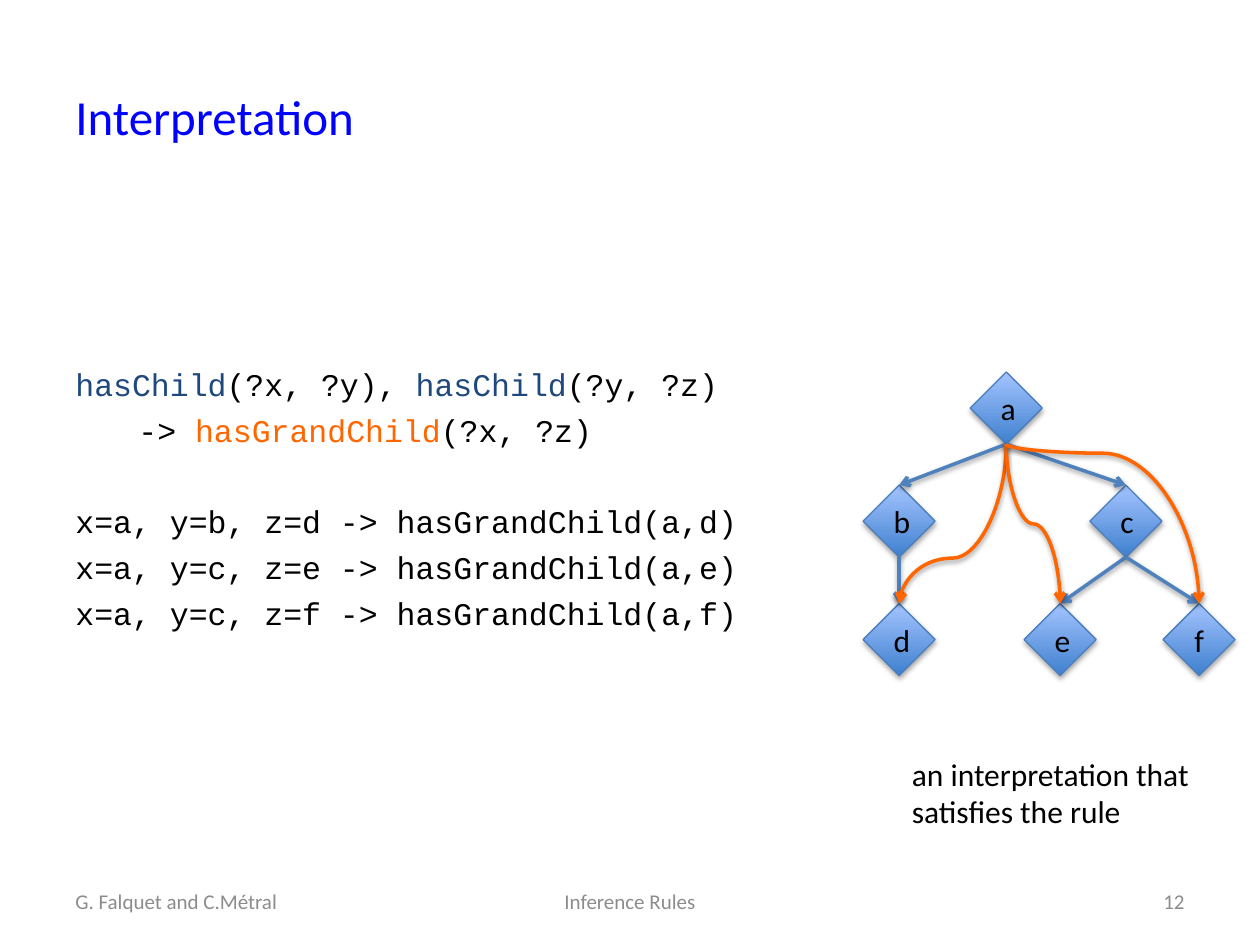
from lxml.etree import SubElement
from pptx import Presentation
from pptx.dml.color import RGBColor as RGB
from pptx.enum.shapes import MSO_CONNECTOR as Link, MSO_SHAPE as Form
from pptx.enum.text import MSO_ANCHOR as Anchor, PP_ALIGN as Align
from pptx.oxml.ns import qn
from pptx.util import Pt

BLACK = RGB(0x00, 0x00, 0x00)
TITLE = RGB(0x00, 0x00, 0xFF)
NAVY = RGB(0x1F, 0x49, 0x7D)
ORANGE = RGB(0xFF, 0x66, 0x00)
GREY = RGB(0x8C, 0x8C, 0x8C)
BLUE = RGB(0x4F, 0x81, 0xBD)
EDGE = RGB(0x4B, 0x7E, 0xBC)
DARK = RGB(0x3F, 0x80, 0xCE)
LIGHT = RGB(0xA4, 0xC4, 0xFF)

SIDE = 41.2
NODES = {
    "a": (554.4, 212.6), "b": (493.2, 277.2), "c": (622.8, 277.2),
    "d": (493.2, 344.9), "e": (585.2, 344.9), "f": (664.6, 344.9),
}
CHILD = ["ab", "ac", "bd", "ce", "cf"]
GRAND = {"ad": 0.715, "ae": 0.5, "af": 0.057}
RULE = [
    (0, 0, [("hasChild", NAVY), ("(?x, ?y), ", BLACK),
            ("hasChild", NAVY), ("(?y, ?z)", BLACK)]),
    (4.9, 36, [("-> ", BLACK), ("hasGrandChild", ORANGE), ("(?x, ?z)", BLACK)]),
]
FACTS = [("b", "d"), ("c", "e"), ("c", "f")]


class Board:
    sans = "Calibri"
    mono = "Courier New"
    size = 18

    def __init__(self, deck):
        self.slide = deck.slides.add_slide(deck.slide_layouts[6])
        self.shapes = self.slide.shapes

    def style(self, run, color=BLACK, size=size, face=sans):
        run.font.name = face
        run.font.size = Pt(size)
        run.font.color.rgb = color

    def frame(self, box, anchor=Anchor.TOP, wrap=True):
        frame = self.shapes.add_textbox(*map(Pt, box)).text_frame
        frame.word_wrap = wrap
        frame.vertical_anchor = anchor
        return frame

    def text(self, box, text, color=BLACK, size=size, align=Align.LEFT,
             anchor=Anchor.MIDDLE, wrap=True):
        frame = self.frame(box, anchor, wrap)
        frame.text = text
        for para in frame.paragraphs:
            para.alignment = align
            for run in para.runs:
                self.style(run, color, size)

    def code(self, box, top, lines):
        frame = self.frame(box)
        frame.margin_top = Pt(top)
        for i, (gap, left, parts) in enumerate(lines):
            para = frame.add_paragraph() if i else frame.paragraphs[0]
            para.space_before = Pt(gap)
            para._p.get_or_add_pPr().set("marL", str(Pt(left)))
            for text, color in parts:
                run = para.add_run()
                run.text = text
                self.style(run, color, face=self.mono)

    def shade(self, props, alpha, dist):
        effect = props.find(qn("a:effectLst"))
        if effect is None:
            effect = SubElement(props, qn("a:effectLst"))
        outer = SubElement(effect, qn("a:outerShdw"), blurRad=str(Pt(3.1)),
                           dist=str(Pt(dist)), dir="5400000", rotWithShape="0")
        color = SubElement(outer, qn("a:srgbClr"), val=str(BLACK))
        SubElement(color, qn("a:alpha"), val=str(alpha * 1000))

    def node(self, name):
        left, top = NODES[name]
        shape = self.shapes.add_shape(
            Form.DIAMOND, Pt(left), Pt(top), Pt(SIDE), Pt(SIDE))
        shape.fill.gradient()
        shape.fill.gradient_angle = 90
        for stop, color in zip(shape.fill.gradient_stops, (DARK, LIGHT)):
            stop.color.rgb = color
        for stop, place in zip(shape.fill.gradient_stops, (0, 1)):
            stop.position = place
        shape.line.color.rgb = EDGE
        shape.line.width = Pt(0.75)
        shape.shadow.inherit = False
        self.shade(shape._element.spPr, 35, 1.8)
        frame = shape.text_frame
        frame.text = name
        frame.vertical_anchor = Anchor.MIDDLE
        frame.paragraphs[0].alignment = Align.CENTER
        self.style(frame.paragraphs[0].runs[0])

    def ends(self, pair):
        (ax, ay), (bx, by) = (NODES[name] for name in pair)
        return ax + SIDE / 2, ay + SIDE, bx + SIDE / 2, by

    def link(self, kind, points, color):
        link = self.shapes.add_connector(kind, *map(Pt, points))
        link.line.color.rgb = color
        link.line.width = Pt(2)
        props = link._element.spPr
        SubElement(props.find(qn("a:ln")), qn("a:tailEnd"), type="arrow")
        self.shade(props, 38, 1.6)
        return props

    def arrow(self, pair):
        self.link(Link.STRAIGHT, self.ends(pair), BLUE)

    def curve(self, pair, bend):
        x1, y1, x2, y2 = self.ends(pair)
        midx, midy = (x1 + x2) / 2, (y1 + y2) / 2
        turn = 1 if x2 < x1 else -1
        dx, dy = turn * (y2 - y1) / 2, abs(x2 - x1) / 2
        box = midx - dx, midy - dy, midx + dx, midy + dy
        props = self.link(Link.CURVE, box, ORANGE)
        angle = 90 if turn > 0 else 270
        props.find(qn("a:xfrm")).set("rot", str(angle * 60000))
        guides = props.find(qn("a:prstGeom")).find(qn("a:avLst"))
        SubElement(guides, qn("a:gd"), name="adj1",
                   fmla=f"val {round(bend * 100000)}")


def main():
    deck = Presentation()
    deck.slide_width, deck.slide_height = Pt(720), Pt(540)
    board = Board(deck)
    board.text((36, 31.7, 648, 69), "Interpretation", TITLE, 28)
    facts = [
        (4.9 if i else 30.1, 0,
         [(f"x=a, y={y}, z={z} -> hasGrandChild(a,{z})", BLACK)])
        for i, (y, z) in enumerate(FACTS)
    ]
    board.code((36, 126, 648, 373), 82.4, RULE + facts)
    for name in NODES:
        board.node(name)
    for pair in CHILD:
        board.arrow(pair)
    for pair, bend in GRAND.items():
        board.curve(pair, bend)
    board.text((514, 427.7, 175.7, 51),
               "an interpretation that\nsatisfies the rule",
               anchor=Anchor.TOP, wrap=False)
    for left, width, text, align in (
        (246, 228, "Inference Rules", Align.CENTER),
        (516, 168, "12", Align.RIGHT),
        (36, 168, "G. Falquet and C.Métral", Align.LEFT),
    ):
        board.text((left, 500.5, width, 28.8), text, GREY, 12, align)
    deck.save("out.pptx")


if __name__ == "__main__":
    main()
